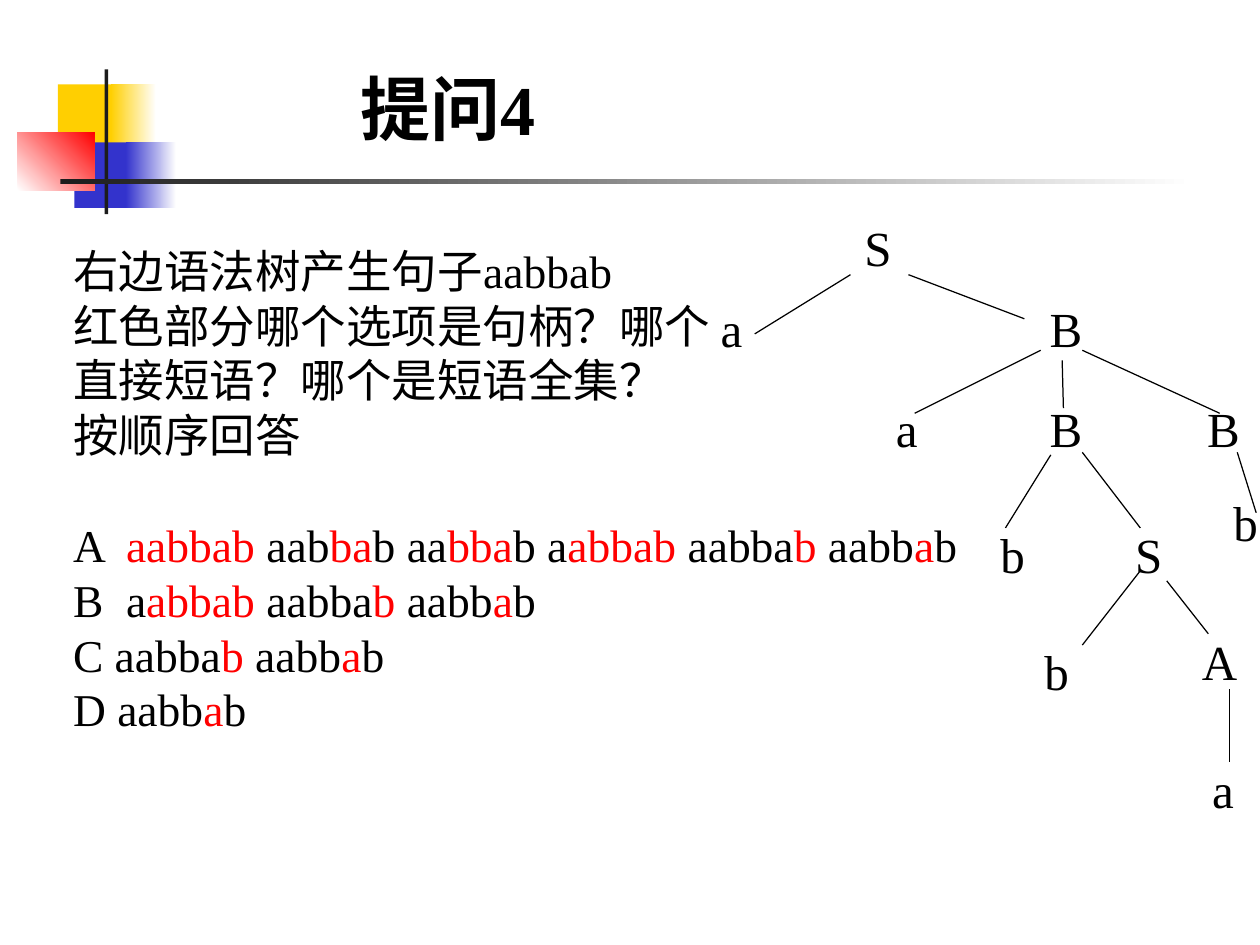
from lxml import etree
from pptx import Presentation
from pptx.dml.color import RGBColor
from pptx.enum.shapes import MSO_CONNECTOR, MSO_SHAPE
from pptx.enum.text import MSO_ANCHOR, MSO_AUTO_SIZE, PP_ALIGN
from pptx.oxml.ns import qn
from pptx.util import Inches, Pt

COLORS = {
    "yellow": "FFCF01", "blue": "3333CC", "red": "FF0000",
    "dark": "1C1C1C", "white": "FFFFFF", "black": "000000",
}
FONT = "Times New Roman"

TITLE = "提问4"
QUESTION = [
    "右边语法树产生句子aabbab",
    "红色部分哪个选项是句柄？哪个",
    "直接短语？哪个是短语全集？",
    "按顺序回答",
]
OPTIONS = [
    "A\t[aabbab] aab[ba]b aa[bba]b a[abbab] aabba[b] aabb[a]b",
    "B\ta[abbab] aabba[b] aabb[a]b",
    "C aabba[b] aabb[a]b",
    "D aabb[a]b",
]
DECORATION = [
    (0.46, 0.67, 0.48, 0.52, ["yellow"], 0),
    (0.88, 0.67, 0.36, 0.52, ["yellow", "white"], 0),
    (0.59, 1.13, 0.46, 0.52, ["blue"], 0),
    (1, 1.13, 0.4, 0.52, ["blue", "white"], 0),
    (0.14, 1.05, 0.61, 0.46, ["white", "red"], 45),
    (0.83, 0.55, 0.03, 1.15, ["dark"], 0),
    (0.48, 1.42, 9, 0.04, ["dark", "white"], 0),
]
TREE_NODES = [
    ("S", 6.85, 1.72), ("a", 5.71, 2.36), ("B", 8.32, 2.36),
    ("a", 7.1, 3.15), ("B", 8.32, 3.15), ("B", 9.57, 3.15),
    ("b", 7.93, 4.15), ("S", 9, 4.15), ("b", 9.78, 3.9),
    ("b", 8.28, 5.08), ("A", 9.53, 5), ("a", 9.61, 6.02),
]
TREE_EDGES = [
    (6.75, 2.18, 5.99, 2.65), (7.21, 2.18, 8.13, 2.53),
    (8.26, 2.78, 7.26, 3.28), (8.43, 2.86, 8.44, 3.24),
    (8.59, 2.78, 9.68, 3.28), (8.34, 3.61, 7.98, 4.19),
    (8.59, 3.59, 9.05, 4.19), (9.82, 3.59, 9.97, 4.07),
    (9.05, 4.53, 8.59, 5.12), (9.26, 4.61, 9.59, 5.03),
    (9.76, 5.47, 9.76, 6.05),
]
NODE_SIZE = (0.3, 0.48)
OPTION_INDENT = 0.42


def rgb(name):
    return RGBColor.from_string(COLORS[name])


def place(shape, left, top, width, height):
    shape.left, shape.top = Inches(left), Inches(top)
    shape.width, shape.height = Inches(width), Inches(height)
    return shape


def write(shape, lines, size, bold=False, wrap=False, margins=(0.1, 0.05), gaps=None):
    frame = shape.text_frame
    frame.word_wrap = wrap
    frame.auto_size = MSO_AUTO_SIZE.NONE
    frame.vertical_anchor = MSO_ANCHOR.TOP
    frame.margin_left = frame.margin_right = Inches(margins[0])
    frame.margin_top = frame.margin_bottom = Inches(margins[1])
    for index, line in enumerate(lines):
        paragraph = frame.paragraphs[0] if index == 0 else frame.add_paragraph()
        hanging = Inches(OPTION_INDENT) if "\t" in line else 0
        properties = paragraph._p.get_or_add_pPr()
        properties.set("marL", str(hanging))
        properties.set("indent", str(-hanging))
        etree.SubElement(properties, qn("a:buNone"))
        paragraph.alignment = PP_ALIGN.LEFT
        paragraph.space_before = Pt((gaps or {}).get(index, 0))
        for part, piece in enumerate(line.replace("]", "[").split("[")):
            if piece:
                run = paragraph.add_run()
                run.text = piece
                run.font.name, run.font.size, run.font.bold = FONT, Pt(size), bold
                run.font.color.rgb = rgb("red" if part % 2 else "black")


def add_block(slide, left, top, width, height, fills, angle):
    block = slide.shapes.add_shape(
        MSO_SHAPE.RECTANGLE, Inches(left), Inches(top), Inches(width), Inches(height))
    block.shadow.inherit = False
    block.line.fill.background()
    if len(fills) == 1:
        block.fill.solid()
        block.fill.fore_color.rgb = rgb(fills[0])
    else:
        block.fill.gradient()
        block.fill.gradient_angle = angle
        for stop, fill in zip(block.fill.gradient_stops, fills):
            stop.color.rgb = rgb(fill)


def add_edge(slide, *ends):
    edge = slide.shapes.add_connector(MSO_CONNECTOR.STRAIGHT, *map(Inches, ends))
    edge.line.color.rgb = rgb("black")
    edge.line.width = Pt(0.71)
    etree.SubElement(edge._element.spPr, qn("a:effectLst"))


def main():
    deck = Presentation()
    deck.slide_width, deck.slide_height = Inches(10), Inches(7.5)
    slide = deck.slides.add_slide(deck.slide_layouts[1])

    for block in DECORATION:
        add_block(slide, *block)
    for edge in TREE_EDGES:
        add_edge(slide, *edge)
    for symbol, left, top in TREE_NODES:
        node = slide.shapes.add_textbox(
            Inches(left), Inches(top), *map(Inches, NODE_SIZE))
        write(node, [symbol], 28, margins=(0.01, 0.01))

    title = place(slide.shapes.title, 2.76, 0.47, 2, 0.77)
    write(title, [TITLE], 40, bold=True)
    body = place(slide.placeholders[1], 0.48, 1.88, 7.5, 4.43)
    write(body, QUESTION + OPTIONS, 26, gaps={len(QUESTION): 32})

    deck.save("out.pptx")


if __name__ == "__main__":
    main()
